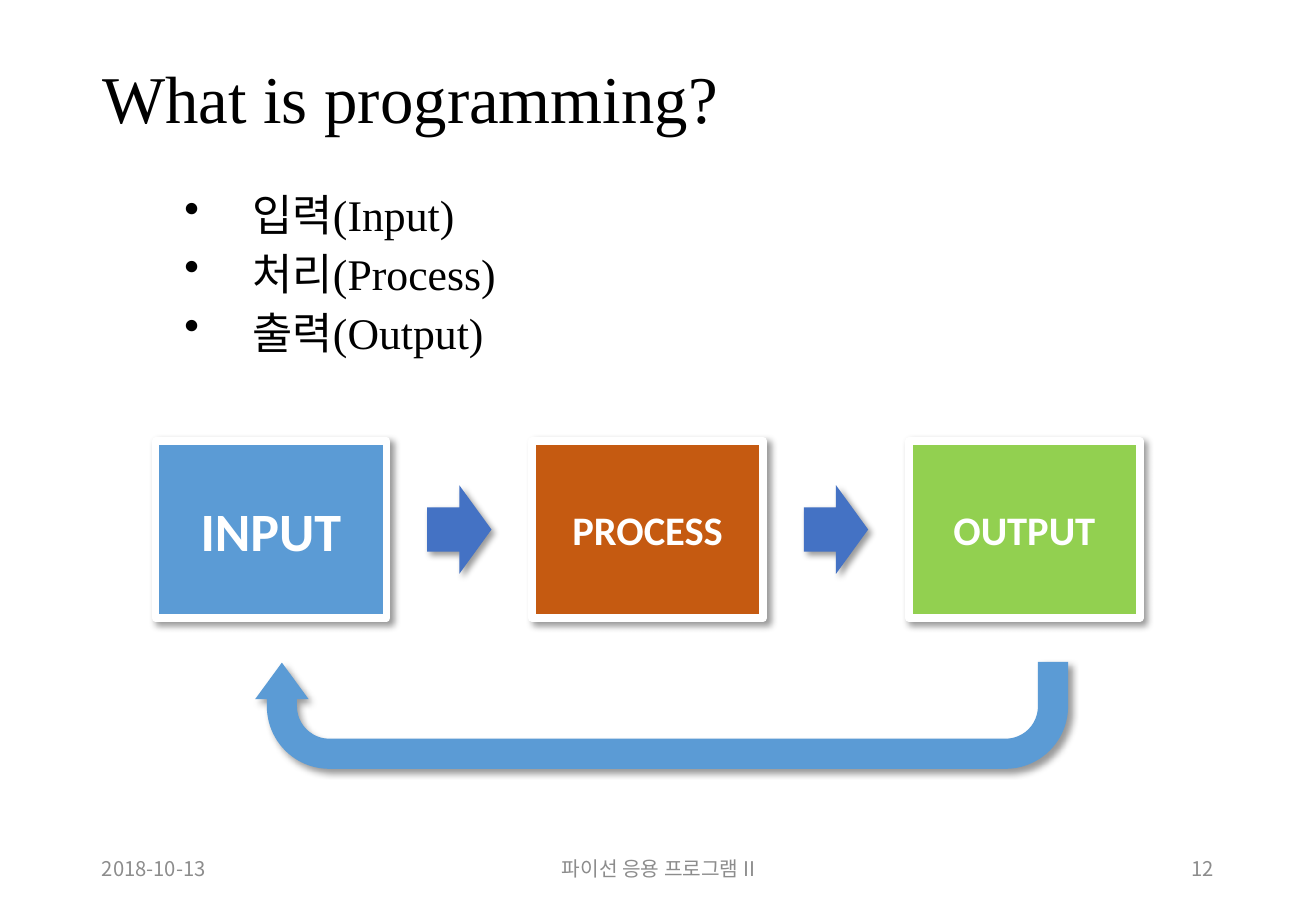
from dataclasses import dataclass

from lxml import etree
from pptx import Presentation
from pptx.dml.color import RGBColor
from pptx.enum.shapes import MSO_SHAPE
from pptx.enum.text import MSO_ANCHOR, MSO_AUTO_SIZE, PP_ALIGN
from pptx.oxml.ns import qn
from pptx.util import Inches, Pt

RECTANGLE = MSO_SHAPE.RECTANGLE
RIGHT_ARROW = MSO_SHAPE.RIGHT_ARROW
U_TURN = MSO_SHAPE.U_TURN_ARROW
LEFT, CENTER, RIGHT = PP_ALIGN.LEFT, PP_ALIGN.CENTER, PP_ALIGN.RIGHT
TOP, MIDDLE = MSO_ANCHOR.TOP, MSO_ANCHOR.MIDDLE


@dataclass(frozen=True)
class Theme:
    """Colours, fonts and type sizes of the slide."""
    black: str = "000000"
    white: str = "FFFFFF"
    grey: str = "8C8C8C"
    blue: str = "5B9BD5"
    dark_blue: str = "4472C4"
    orange: str = "C55A11"
    green: str = "92D050"
    serif: str = "Times New Roman"
    sans: str = "Calibri"
    korean: str = "Noto Sans CJK KR"
    title_size: float = 39.6
    body_size: float = 25.9
    large_size: float = 32
    label_size: float = 24
    footer_size: float = 12


THEME = Theme()

TITLE = "What is programming?"
BULLETS = ["입력(Input)", "처리(Process)", "출력(Output)"]
STAGES = [
    ("INPUT", THEME.blue, THEME.large_size),
    ("PROCESS", THEME.orange, THEME.label_size),
    ("OUTPUT", THEME.green, THEME.label_size),
]
FOOTERS = [
    ("2018-10-13", 0.74, 2.44, LEFT),
    ("파이선 응용 프로그램 II", 3.59, 3.66, CENTER),
    ("12", 7.65, 2.44, RIGHT),
]

# Flow geometry, in inches
STAGE_LEFT, STAGE_TOP, STAGE_WIDTH, STAGE_HEIGHT = 1.28, 3.63, 1.9, 1.46
STAGE_PITCH = 3.1
ARROW_WIDTH, ARROW_HEIGHT = 0.53, 0.73
RETURN_AREA = (2.1, 5.45, 6.69, 0.88)
RETURN_ADJUSTMENTS = (0.282, 0.25, 0.342, 0.585, 0.994)


def style_paragraph(paragraph, text, font_name, size, color, align=LEFT, bold=False):
    """Fill a paragraph and set its font and alignment."""
    paragraph.text = text
    paragraph.alignment = align
    font = paragraph.font
    font.name, font.size, font.bold = font_name, Pt(size), bold
    font.color.rgb = RGBColor.from_string(color)
    east_asian = etree.SubElement(paragraph._p.pPr.find(qn("a:defRPr")), qn("a:ea"))
    east_asian.set("typeface", THEME.korean)


def add_text_box(slide, area, anchor):
    """Add a wrapping text box and return its text frame."""
    frame = slide.shapes.add_textbox(*map(Inches, area)).text_frame
    frame.word_wrap = True
    frame.vertical_anchor = anchor
    return frame


def add_bullet(paragraph):
    """Give a paragraph a hanging bullet."""
    properties = paragraph._p.get_or_add_pPr()
    indent = Inches(0.56)
    properties.set("marL", str(indent))
    properties.set("indent", str(-indent))
    bullet = etree.Element(qn("a:buChar"), char="•")
    properties.find(qn("a:defRPr")).addprevious(bullet)


def add_shadow(shape):
    """Cast a soft shadow to the lower right."""
    shape.shadow.inherit = False
    effects = shape._element.spPr.find(qn("a:effectLst"))
    shadow = etree.SubElement(
        effects, qn("a:outerShdw"), blurRad=str(Pt(4)), dist=str(Pt(3)),
        dir=str(45 * 60000), algn="tl", rotWithShape="0")
    color = etree.SubElement(shadow, qn("a:srgbClr"), val=THEME.black)
    etree.SubElement(color, qn("a:alpha"), val="40000")


def add_flow_shape(slide, kind, area, fill):
    """Add a filled shape with a shadow and no outline."""
    shape = slide.shapes.add_shape(kind, *map(Inches, area))
    shape.fill.solid()
    shape.fill.fore_color.rgb = RGBColor.from_string(fill)
    shape.line.fill.background()
    add_shadow(shape)
    return shape


def add_title(slide):
    """Place and format the title placeholder."""
    title = slide.shapes.title
    title.left, title.top, title.width, title.height = map(
        Inches, (0.74, 0.4, 9.34, 0.79))
    frame = title.text_frame
    frame.vertical_anchor = MIDDLE
    frame.auto_size = MSO_AUTO_SIZE.NONE
    style_paragraph(frame.paragraphs[0], TITLE, THEME.serif, THEME.title_size, THEME.black)


def add_bullets(slide):
    """Add the bulleted list."""
    frame = add_text_box(slide, (1.42, 1.58, 8.5, 1.43), TOP)
    for index, text in enumerate(BULLETS):
        paragraph = frame.add_paragraph() if index else frame.paragraphs[0]
        style_paragraph(paragraph, text, THEME.serif, THEME.body_size, THEME.black)
        paragraph.line_spacing = 0.8
        paragraph.space_before = Pt(10)
        add_bullet(paragraph)


def add_flow(slide):
    """Add the stages, the arrows between them and the return arrow."""
    gap = STAGE_PITCH - STAGE_WIDTH
    arrow_top = STAGE_TOP + (STAGE_HEIGHT - ARROW_HEIGHT) / 2
    for index, (label, fill, size) in enumerate(STAGES):
        left = STAGE_LEFT + index * STAGE_PITCH
        stage = add_flow_shape(
            slide, RECTANGLE, (left, STAGE_TOP, STAGE_WIDTH, STAGE_HEIGHT), fill)
        stage.line.color.rgb = RGBColor.from_string(THEME.white)
        stage.line.width = Pt(4.5)
        stage.text_frame.vertical_anchor = MIDDLE
        style_paragraph(stage.text_frame.paragraphs[0], label, THEME.sans, size,
                        THEME.white, CENTER, bold=True)
        if index:
            arrow_left = left - (gap + ARROW_WIDTH) / 2
            add_flow_shape(slide, RIGHT_ARROW,
                           (arrow_left, arrow_top, ARROW_WIDTH, ARROW_HEIGHT),
                           THEME.dark_blue)

    return_arrow = add_flow_shape(slide, U_TURN, RETURN_AREA, THEME.blue)
    for index, value in enumerate(RETURN_ADJUSTMENTS):
        return_arrow.adjustments[index] = value
    for flip in ("flipH", "flipV"):
        return_arrow._element.spPr.xfrm.set(flip, "1")


def add_footers(slide):
    """Add the date, course name and page number."""
    for text, left, width, align in FOOTERS:
        frame = add_text_box(slide, (left, 6.95, width, 0.4), MIDDLE)
        style_paragraph(frame.paragraphs[0], text, THEME.korean, THEME.footer_size,
                        THEME.grey, align)


def build_deck():
    """Build the one-slide deck."""
    deck = Presentation()
    deck.slide_width, deck.slide_height = Inches(10.83), Inches(7.5)
    slide = deck.slides.add_slide(deck.slide_layouts.get_by_name("Title Only"))
    add_title(slide)
    add_bullets(slide)
    add_flow(slide)
    add_footers(slide)
    return deck


build_deck().save("out.pptx")
